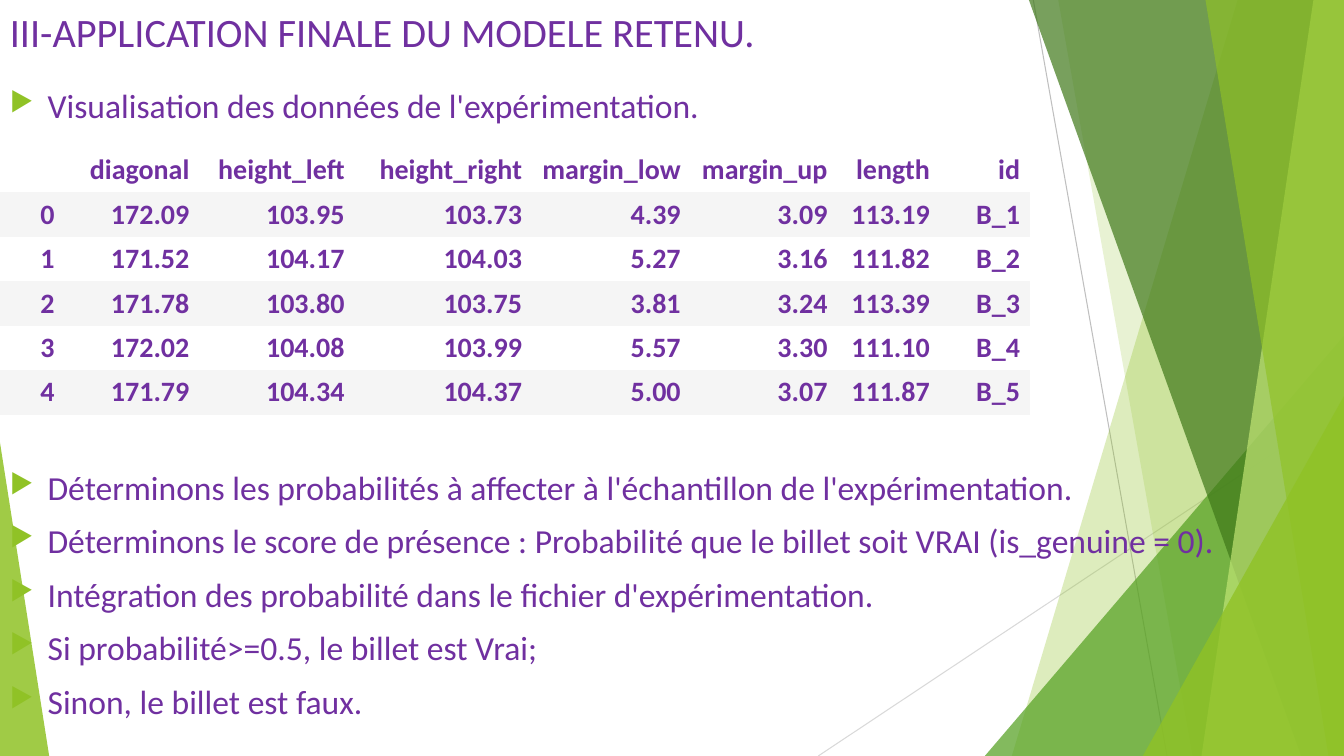
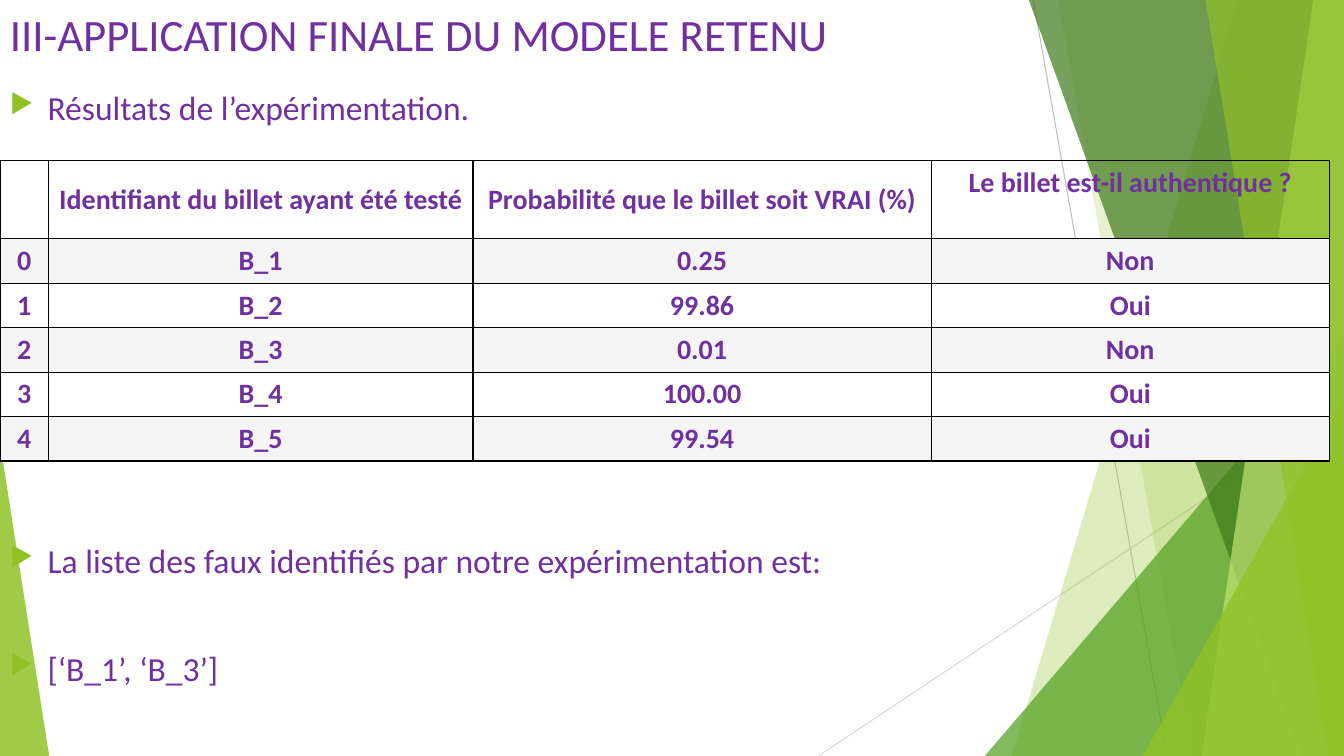
from dataclasses import dataclass

from lxml import etree
from pptx import Presentation
from pptx import util as u
from pptx.dml.color import RGBColor
from pptx.enum import shapes, text
from pptx.oxml.ns import qn


@dataclass(frozen=True)
class Theme:
    """Colours, type sizes and font shared by the slides."""
    font: str = "Calibri"
    ink: str = "7030A0"
    lime: str = "90C226"
    green: str = "54A021"
    forest: str = "3F7819"
    pale: str = "C0E474"
    white: str = "FFFFFF"
    stripe: str = "F5F5F5"
    grid: str = "000000"
    hairlines: tuple = ("BFBFBF", "D9D9D9")
    body_size: float = 24
    cell_size: float = 20
    no_style: str = "{2D5ABB26-0587-4C30-8999-92F81FD0307C}"


@dataclass(frozen=True)
class Box:
    """A region in centimetres."""
    left: float
    top: float
    width: float
    height: float

    def emu(self):
        """Return the four sides as lengths."""
        return [u.Cm(side) for side in (self.left, self.top, self.width, self.height)]


THEME = Theme()
PAGE = Box(0, 0, 33.87, 19.05)


def add_span(para, words, size, bold=False):
    """Add one run of text in the theme's font and ink."""
    span = para.add_run()
    span.text = words
    span.font.name = THEME.font
    span.font.size = u.Pt(size)
    span.font.bold = bold
    span.font.color.rgb = RGBColor.from_string(THEME.ink)


def paint(shape, colour, opacity):
    """Fill a shape with a translucent colour, without line or shadow."""
    shape.shadow.inherit = False
    shape.line.fill.background()
    shape.fill.solid()
    shape.fill.fore_color.rgb = RGBColor.from_string(colour)
    tone = shape._element.spPr.find(".//" + qn("a:srgbClr"))
    etree.SubElement(tone, qn("a:alpha"), val=str(opacity * 1000))


def add_hairline(page, start, end, colour):
    """Draw a thin straight line between two points."""
    points = [u.Cm(value) for value in (*start, *end)]
    line = page.shapes.add_connector(shapes.MSO_CONNECTOR.STRAIGHT, *points)
    line.line.color.rgb = RGBColor.from_string(colour)
    line.line.width = u.Pt(0.75)
    etree.SubElement(line._element.spPr, qn("a:effectLst"))


def add_blade(page, box, top_x, bottom_x, colour, opacity):
    """Draw a band from a slanted left side to the right edge of the box."""
    right, bottom = box.left + box.width, box.top + box.height
    outline = page.shapes.build_freeform(u.Cm(box.left + top_x), u.Cm(box.top))
    corners = [(right, box.top), (right, bottom), (box.left + bottom_x, bottom)]
    outline.add_line_segments([(u.Cm(x), u.Cm(y)) for x, y in corners], close=True)
    paint(outline.convert_to_shape(), colour, opacity)


def add_wedge(page, box, apex, colour, opacity):
    """Draw a triangle with its apex at a share of its width."""
    wedge = page.shapes.add_shape(shapes.MSO_SHAPE.ISOSCELES_TRIANGLE, *box.emu())
    wedge.adjustments[0] = apex
    paint(wedge, colour, opacity)


def add_backdrop(page, box):
    """Draw the green facets along the sides of the page."""
    right, bottom = box.left + box.width, box.top + box.height

    def corner_wedge(width, height, colour, opacity):
        """Draw a triangle in the bottom right corner."""
        area = Box(right - width, bottom - height, width, height)
        add_wedge(page, area, 1, colour, opacity)

    add_hairline(page, (box.left + 26.04, box.top), (box.left + 29.41, bottom), THEME.hairlines[0])
    add_hairline(page, (right, box.top + 10.24), (box.left + 20.62, bottom), THEME.hairlines[1])
    add_blade(page, box, 31.19, 25.5, THEME.lime, 30)
    add_blade(page, box, 26.67, 30.05, THEME.lime, 20)
    corner_wedge(9.05, 10.59, THEME.green, 72)
    add_blade(page, box, 25.93, 32.79, THEME.forest, 70)
    add_blade(page, box, 33.1, 30.28, THEME.pale, 70)
    add_blade(page, box, 30.38, 33.48, THEME.lime, 65)
    corner_wedge(5.07, 9.07, THEME.lime, 80)
    add_wedge(page, Box(box.left, bottom - 7.9, 1.24, 7.9), 0, THEME.lime, 85)


def add_frame(page, box):
    """Add a wrapping text box and return its text frame."""
    frame = page.shapes.add_textbox(*box.emu()).text_frame
    frame.word_wrap = True
    return frame


def add_title(page, box, words, size):
    """Write the slide title."""
    add_span(add_frame(page, box).paragraphs[0], words, size)


def add_bullets(page, box, lines, gap=9.4):
    """Write a list with arrow bullets, separated by a gap in points."""
    frame = add_frame(page, box)
    for index, words in enumerate(lines):
        para = frame.add_paragraph() if index else frame.paragraphs[0]
        props = para._p.get_or_add_pPr()
        props.set("marL", str(u.Cm(0.95)))
        props.set("indent", str(-u.Cm(0.95)))
        tint = etree.SubElement(props, qn("a:buClr"))
        etree.SubElement(tint, qn("a:srgbClr"), val=THEME.lime)
        etree.SubElement(props, qn("a:buSzPct"), val="80000")
        etree.SubElement(props, qn("a:buChar"), char="▶")
        if index:
            para.space_before = u.Pt(gap)
        add_span(para, words, THEME.body_size)


def add_borders(cell):
    """Outline a cell with thin lines."""
    props = cell._tc.get_or_add_tcPr()
    for side in ("a:lnL", "a:lnR", "a:lnT", "a:lnB"):
        edge = etree.SubElement(props, qn(side), w=str(u.Pt(1)))
        fill = etree.SubElement(edge, qn("a:solidFill"))
        etree.SubElement(fill, qn("a:srgbClr"), val=THEME.grid)


def add_data_table(page, box, rows, widths, header_height, align, bordered=False):
    """Build a striped table with a header row and return it."""
    table = page.shapes.add_table(len(rows), len(widths), *box.emu()).table
    table._tbl.tblPr.find(qn("a:tableStyleId")).text = THEME.no_style
    table.horz_banding = False
    for column, width in zip(table.columns, widths):
        column.width = u.Cm(width)
    row_height = (box.height - header_height) / (len(rows) - 1)
    for r, values in enumerate(rows):
        table.rows[r].height = u.Cm(row_height if r else header_height)
        for c, value in enumerate(values):
            cell = table.cell(r, c)
            if bordered:
                add_borders(cell)
            cell.fill.solid()
            cell.fill.fore_color.rgb = RGBColor.from_string(THEME.stripe if r % 2 else THEME.white)
            cell.vertical_anchor = text.MSO_ANCHOR.MIDDLE
            para = cell.text_frame.paragraphs[0]
            para.alignment = align
            if value:
                add_span(para, value, THEME.cell_size, bold=True)
    return table


def start_page(deck):
    """Add a blank slide with the shared backdrop."""
    page = deck.slides.add_slide(deck.slide_layouts[6])
    add_backdrop(page, PAGE)
    return page


def build_data_slide(deck, box):
    """Show the experiment's data and the steps of the method."""
    page = start_page(deck)
    add_title(page, Box(box.left, box.top + 0.05, box.width, 1.42),
              "III-APPLICATION FINALE DU MODELE RETENU.", 28.8)
    add_bullets(page, Box(box.left, box.top + 2.01, box.width, 1.3),
                ["Visualisation des données de l'expérimentation."])
    rows = [
        ("", "diagonal", "height_left", "height_right", "margin_low", "margin_up", "length", "id"),
        ("0", "172.09", "103.95", "103.73", "4.39", "3.09", "113.19", "B_1"),
        ("1", "171.52", "104.17", "104.03", "5.27", "3.16", "111.82", "B_2"),
        ("2", "171.78", "103.80", "103.75", "3.81", "3.24", "113.39", "B_3"),
        ("3", "172.02", "104.08", "103.99", "5.57", "3.30", "111.10", "B_4"),
        ("4", "171.79", "104.34", "104.37", "5.00", "3.07", "111.87", "B_5"),
    ]
    widths = (1.63, 3.4, 3.91, 4.47, 4, 3.7, 2.58, 2.27)
    add_data_table(page, Box(box.left, box.top + 3.73, sum(widths), 6.72),
                   rows, widths, 1.12, text.PP_ALIGN.RIGHT)
    add_bullets(page, Box(box.left, box.top + 11.63, box.width, 7.1), [
        "Déterminons les probabilités à affecter à l'échantillon de l'expérimentation.",
        "Déterminons le score de présence : Probabilité que le billet soit VRAI (is_genuine = 0).",
        "Intégration des probabilité dans le fichier d'expérimentation.",
        "Si probabilité>=0.5, le billet est Vrai;",
        "Sinon, le billet est faux.",
    ])


def build_results_slide(deck, box):
    """Show the results of the experiment and the forged notes."""
    page = start_page(deck)
    add_bullets(page, Box(box.left, box.top + 2.06, box.width, 1.3),
                ["Résultats de l’expérimentation."])
    rows = [
        ("", "Identifiant du billet ayant été testé",
         "Probabilité que le billet soit VRAI (%)", "Le billet est-il authentique ?"),
        ("0", "B_1", "0.25", "Non"),
        ("1", "B_2", "99.86", "Oui"),
        ("2", "B_3", "0.01", "Non"),
        ("3", "B_4", "100.00", "Oui"),
        ("4", "B_5", "99.54", "Oui"),
    ]
    widths = (1.22, 10.7, 11.55, 10.03)
    table = add_data_table(page, Box(box.left, box.top + 4.04, sum(widths), 7.58),
                           rows, widths, 1.98, text.PP_ALIGN.CENTER, bordered=True)
    verdict = table.cell(0, 3)
    verdict.fill.background()
    verdict.vertical_anchor = text.MSO_ANCHOR.TOP
    add_bullets(page, Box(box.left, box.top + 13.47, box.width, 4.2), [
        "La liste des faux identifiés par notre expérimentation est:",
        "[‘B_1’, ‘B_3’]",
    ], gap=48.6)
    add_title(page, Box(box.left, box.top + 0.05, box.width, 1.93),
              "III-APPLICATION FINALE DU MODELE RETENU", 32)


def main():
    """Build and save the deck."""
    deck = Presentation()
    deck.slide_width, deck.slide_height = u.Cm(PAGE.width), u.Cm(PAGE.height)
    build_data_slide(deck, PAGE)
    build_results_slide(deck, PAGE)
    deck.save("out.pptx")


if __name__ == "__main__":
    main()
